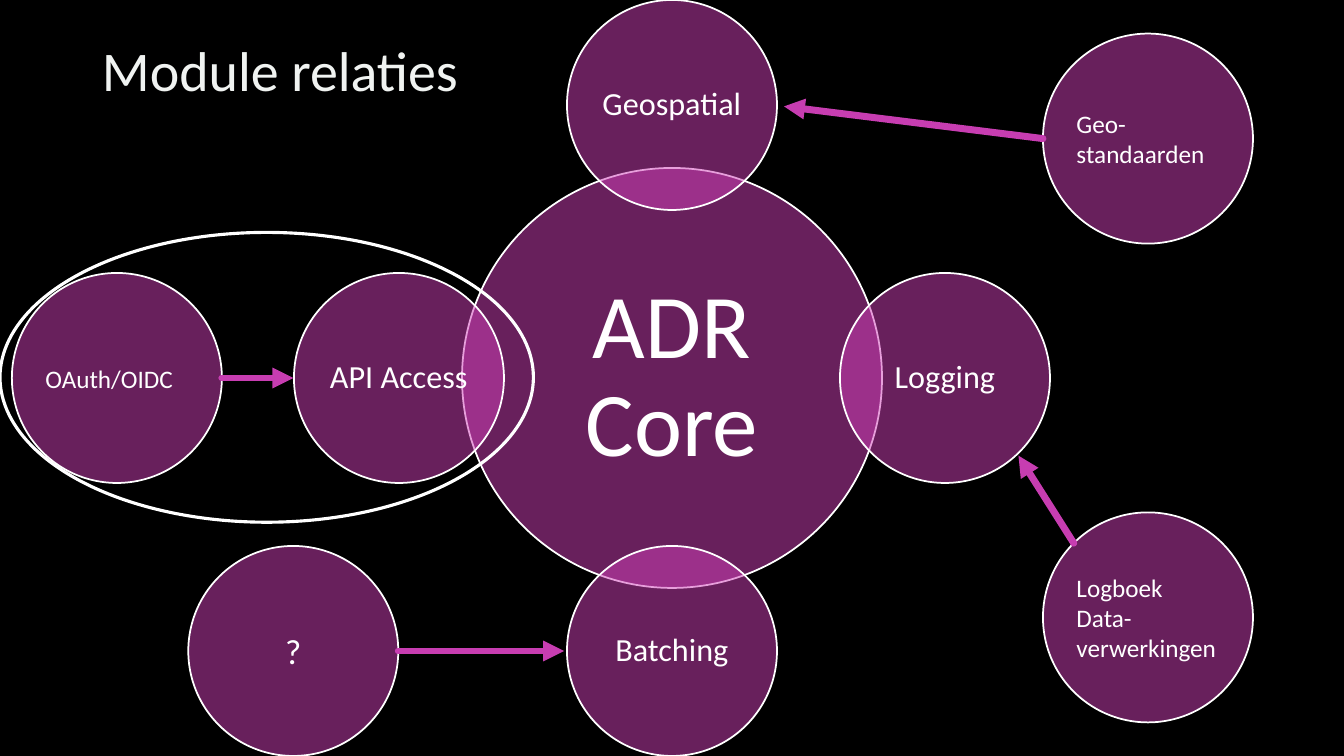
from dataclasses import dataclass

from lxml.etree import SubElement
from pptx import Presentation
from pptx.dml.color import RGBColor as RGB
from pptx.enum.shapes import MSO_CONNECTOR as LINK, MSO_SHAPE as SHAPE
from pptx.enum.text import MSO_ANCHOR as ANCHOR, MSO_AUTO_SIZE as FIT, PP_ALIGN as ALIGN
from pptx.oxml.ns import qn
from pptx.util import Pt


@dataclass(frozen=True)
class Theme:
    font: str = "Calibri"
    back: RGB = RGB(0x00, 0x00, 0x00)
    disc: RGB = RGB(0xD0, 0x40, 0xB9)
    edge: RGB = RGB(0xFF, 0xFF, 0xFF)
    head: RGB = RGB(0xF0, 0xF3, 0xF1)
    arrow: RGB = RGB(0xC7, 0x3D, 0xB1)
    title: int = 40
    core: int = 65
    module: int = 23
    source: int = 18
    mark: int = 25


LOOK = Theme()
MID_X, MID_Y = 480, 270
CORE, SMALL = 300, 150
REACH = 195  # core centre to module centre


def write(frame, text, size, color, align):
    frame.word_wrap = True
    frame.vertical_anchor = ANCHOR.MIDDLE
    para = frame.paragraphs[0]
    para.alignment = align
    run = para.add_run()
    run.text = text
    font = run.font
    font.name, font.size = LOOK.font, Pt(size)
    font.color.rgb = color
    return para


def add_title(slide, text):
    title = slide.shapes.title
    title.left, title.top, title.width, title.height = Pt(0), Pt(0), Pt(400), Pt(99)
    title.text_frame.auto_size = FIT.NONE
    write(title.text_frame, text, LOOK.title, LOOK.head, ALIGN.CENTER)


def add_oval(slide, x, y, wide, high, weight):
    """Add an unfilled white oval centred on x, y."""
    oval = slide.shapes.add_shape(
        SHAPE.OVAL, Pt(x - wide / 2), Pt(y - high / 2), Pt(wide), Pt(high))
    oval.shadow.inherit = False
    oval.fill.background()
    oval.line.color.rgb = LOOK.edge
    oval.line.width = Pt(weight)
    return oval


def add_disc(slide, text, x, y, size, width=SMALL, pad=2, align=ALIGN.CENTER, space=1.0):
    """Add a half-transparent labelled circle centred on x, y."""
    disc = add_oval(slide, x, y, width, width, 1.25)
    disc.fill.solid()
    disc.fill.fore_color.rgb = LOOK.disc
    tint = disc.fill._xPr.find(qn("a:solidFill"))[0]
    SubElement(tint, qn("a:alpha"), val="50000")
    frame = disc.text_frame
    frame.margin_left = frame.margin_right = Pt(pad)
    frame.margin_top = frame.margin_bottom = Pt(pad)
    write(frame, text, size, LOOK.edge, align).line_spacing = space


def add_arrow(slide, start, end):
    arrow = slide.shapes.add_connector(LINK.STRAIGHT, *map(Pt, start + end))
    arrow.line.color.rgb = LOOK.arrow
    arrow.line.width = Pt(5)
    line = arrow.line._get_or_add_ln()
    line.set("cap", "rnd")
    SubElement(line, qn("a:tailEnd"), type="triangle")
    SubElement(arrow._element.spPr, qn("a:effectLst"))


def main():
    deck = Presentation()
    deck.slide_width, deck.slide_height = Pt(960), Pt(540)
    slide = deck.slides.add_slide(deck.slide_layouts[5])
    fill = slide.background.fill
    fill.solid()
    fill.fore_color.rgb = LOOK.back
    add_title(slide, "Module relaties")

    add_disc(slide, "ADR Core", MID_X, MID_Y, LOOK.core, CORE, pad=6.5, space=0.9)
    modules = [("Geospatial", 0, -1), ("Logging", 1, 0),
               ("Batching", 0, 1), ("API Access", -1, 0)]
    for text, dx, dy in modules:
        add_disc(slide, text, MID_X + dx * REACH, MID_Y + dy * REACH,
                 LOOK.module, space=0.9)

    add_oval(slide, 190.5, 269.5, 381, 207, 2.25)

    sources = [("Geo-standaarden", 820, 99), ("Logboek Data-verwerkingen", 820, 441),
               ("OAuth/OIDC", 83.5, MID_Y)]
    for text, x, y in sources:
        add_disc(slide, text, x, y, LOOK.source, align=ALIGN.LEFT)
    add_disc(slide, "?", 209.5, MID_Y + REACH, LOOK.mark)

    arrows = [((158.5, 270), (209.5, 270)), ((745, 99), (560, 76)),
              ((767, 388), (727.5, 325.5)), ((284.5, 465), (403, 465))]
    for start, end in arrows:
        add_arrow(slide, start, end)

    deck.save("out.pptx")


if __name__ == "__main__":
    main()
